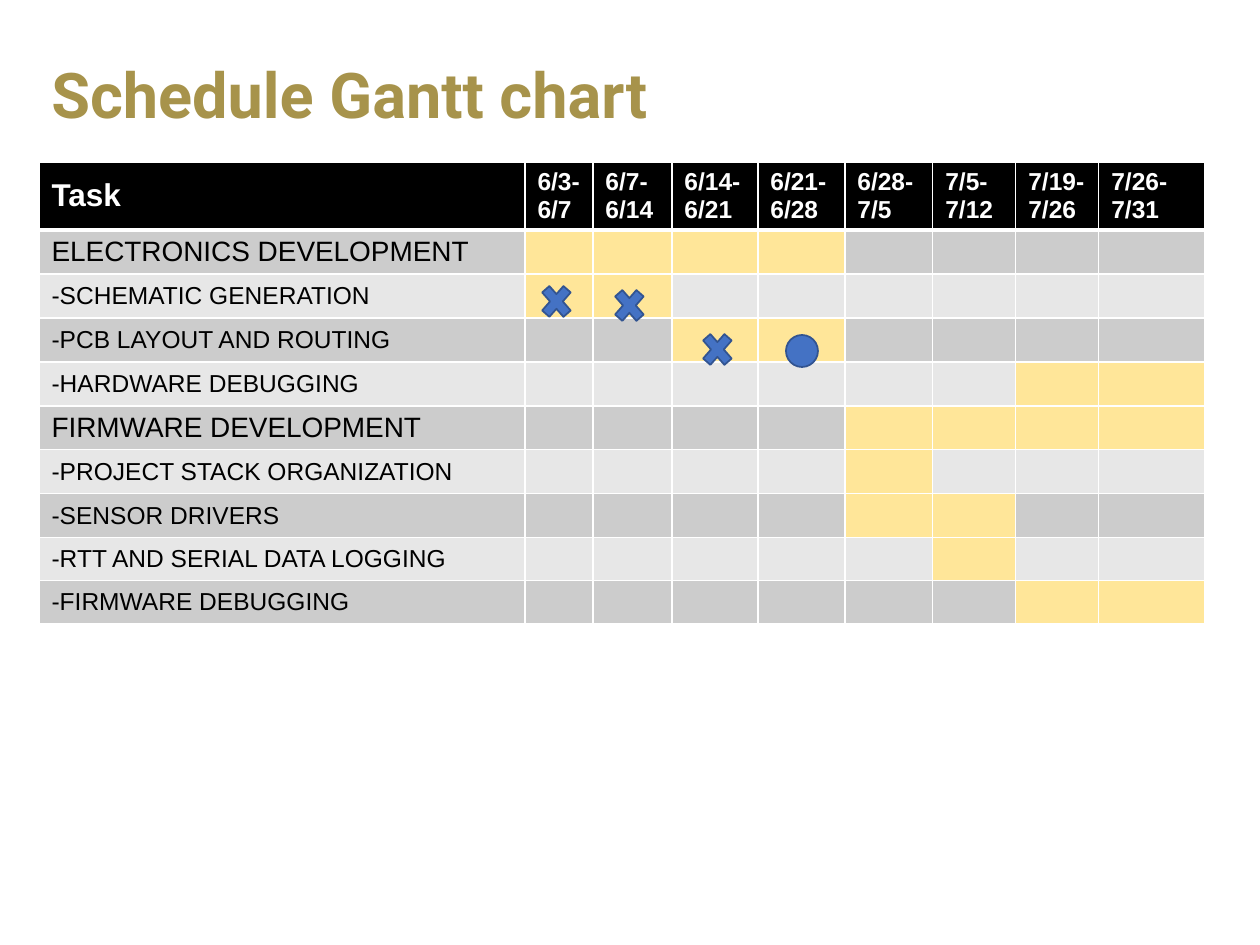
from dataclasses import dataclass

from lxml import etree
from pptx import Presentation
from pptx import util as u
from pptx.dml.color import RGBColor
from pptx.enum import shapes, text
from pptx.oxml import ns

PX = 914400 // 126  # EMU per px


@dataclass(frozen=True)
class Theme:
    title_font: str = "Roboto"
    body_font: str = "Arial"
    title: str = "A7934B"
    header: str = "000000"
    ink: str = "000000"
    white: str = "FFFFFF"
    bands: tuple = ("CCCCCC", "E7E7E7")
    active: str = "FFE699"
    marker: str = "4472C4"
    marker_line: str = "325491"
    title_size: int = 36
    task_size: int = 18
    group_size: int = 16
    text_size: int = 14


T = Theme()

TABLE_LEFT, TABLE_TOP = 39, 162
COL_WIDTHS = [486, 68, 79, 86, 87, 88, 83, 83, 106]
ROW_HEIGHTS = [68] + [44] * 7 + [43] * 2
HEADERS = ["Task", "6/3-6/7", "6/7-6/14", "6/14-6/21", "6/21-6/28",
           "6/28-7/5", "7/5-7/12", "7/19-7/26", "7/26-7/31"]
# Task name, first and last active period
TASKS = [
    ("ELECTRONICS DEVELOPMENT", 1, 4),
    ("-SCHEMATIC GENERATION", 1, 2),
    ("-PCB LAYOUT AND ROUTING", 3, 4),
    ("-HARDWARE DEBUGGING", 7, 8),
    ("FIRMWARE DEVELOPMENT", 5, 8),
    ("-PROJECT STACK ORGANIZATION", 5, 5),
    ("-SENSOR DRIVERS", 5, 6),
    ("-RTT AND SERIAL DATA LOGGING", 6, 6),
    ("-FIRMWARE DEBUGGING", 7, 8),
]
CROSS = shapes.MSO_SHAPE.MATH_MULTIPLY
DOT = shapes.MSO_SHAPE.OVAL
# Shape, left, top, width, height
MARKERS = [
    (CROSS, 536, 278, 41, 47),
    (CROSS, 609, 282, 41, 47),
    (DOT, 786, 335, 32, 32),
    (CROSS, 697, 326, 41, 47),
]


def px(n):
    return u.Emu(n * PX)


def rgb(value):
    return RGBColor.from_string(value)


def add_run(p, content, font, size, color, bold=False):
    r = p.add_run()
    r.text = content
    r.font.name = font
    r.font.size = u.Pt(size)
    r.font.bold = bold
    r.font.color.rgb = rgb(color)


def add_title(s, content):
    sp = s.shapes.add_textbox(px(39), px(28), px(1182), px(140))
    tf = sp.text_frame
    tf.word_wrap = True
    tf.vertical_anchor = text.MSO_ANCHOR.MIDDLE
    p = tf.paragraphs[0]
    p.line_spacing = 0.9
    add_run(p, content, T.title_font, T.title_size, T.title, True)


def set_borders(cell, top, bottom):
    tc_pr = cell._tc.get_or_add_tcPr()
    for side, width in (("L", 1), ("R", 1), ("T", top), ("B", bottom)):
        ln = etree.SubElement(tc_pr, ns.qn(f"a:ln{side}"), w=str(u.Pt(width)))
        fill = etree.SubElement(ln, ns.qn("a:solidFill"))
        etree.SubElement(fill, ns.qn("a:srgbClr"), val=T.white)


def style_cell(cell, fill, top=1, bottom=1):
    set_borders(cell, top, bottom)  # borders come before the fill
    cell.fill.solid()
    cell.fill.fore_color.rgb = rgb(fill)
    cell.vertical_anchor = text.MSO_ANCHOR.MIDDLE
    cell.margin_top = cell.margin_bottom = 0


def add_gantt(s):
    frame = s.shapes.add_table(
        len(ROW_HEIGHTS), len(COL_WIDTHS), px(TABLE_LEFT), px(TABLE_TOP),
        px(sum(COL_WIDTHS)), px(sum(ROW_HEIGHTS)))
    table = frame.table
    table.horz_banding = False
    for col, width in zip(table.columns, COL_WIDTHS):
        col.width = px(width)
    for row, height in zip(table.rows, ROW_HEIGHTS):
        row.height = px(height)

    # Header row
    for c, label in enumerate(HEADERS):
        cell = table.cell(0, c)
        style_cell(cell, T.header, bottom=3)
        size = T.text_size if c else T.task_size
        add_run(cell.text_frame.paragraphs[0], label, T.body_font, size,
                T.white, True)

    # Task rows with their active periods
    for r, (name, first, last) in enumerate(TASKS, 1):
        for c in range(len(HEADERS)):
            fill = T.active if first <= c <= last else T.bands[(r - 1) % 2]
            style_cell(table.cell(r, c), fill, top=3 if r == 1 else 1)
        size = T.text_size if name.startswith("-") else T.group_size
        add_run(table.cell(r, 0).text_frame.paragraphs[0], name, T.body_font,
                size, T.ink)


def add_marker(s, kind, left, top, width, height):
    sp = s.shapes.add_shape(kind, px(left), px(top), px(width), px(height))
    sp.shadow.inherit = False
    sp.fill.solid()
    sp.fill.fore_color.rgb = rgb(T.marker)
    sp.line.color.rgb = rgb(T.marker_line)
    sp.line.width = u.Pt(1)


def main():
    prs = Presentation()
    prs.slide_width, prs.slide_height = u.Inches(10), u.Inches(7.5)
    s = prs.slides.add_slide(prs.slide_layouts[6])
    add_title(s, "Schedule Gantt chart")
    add_gantt(s)
    # Progress markers
    for marker in MARKERS:
        add_marker(s, *marker)
    prs.save("out.pptx")


if __name__ == "__main__":
    main()
